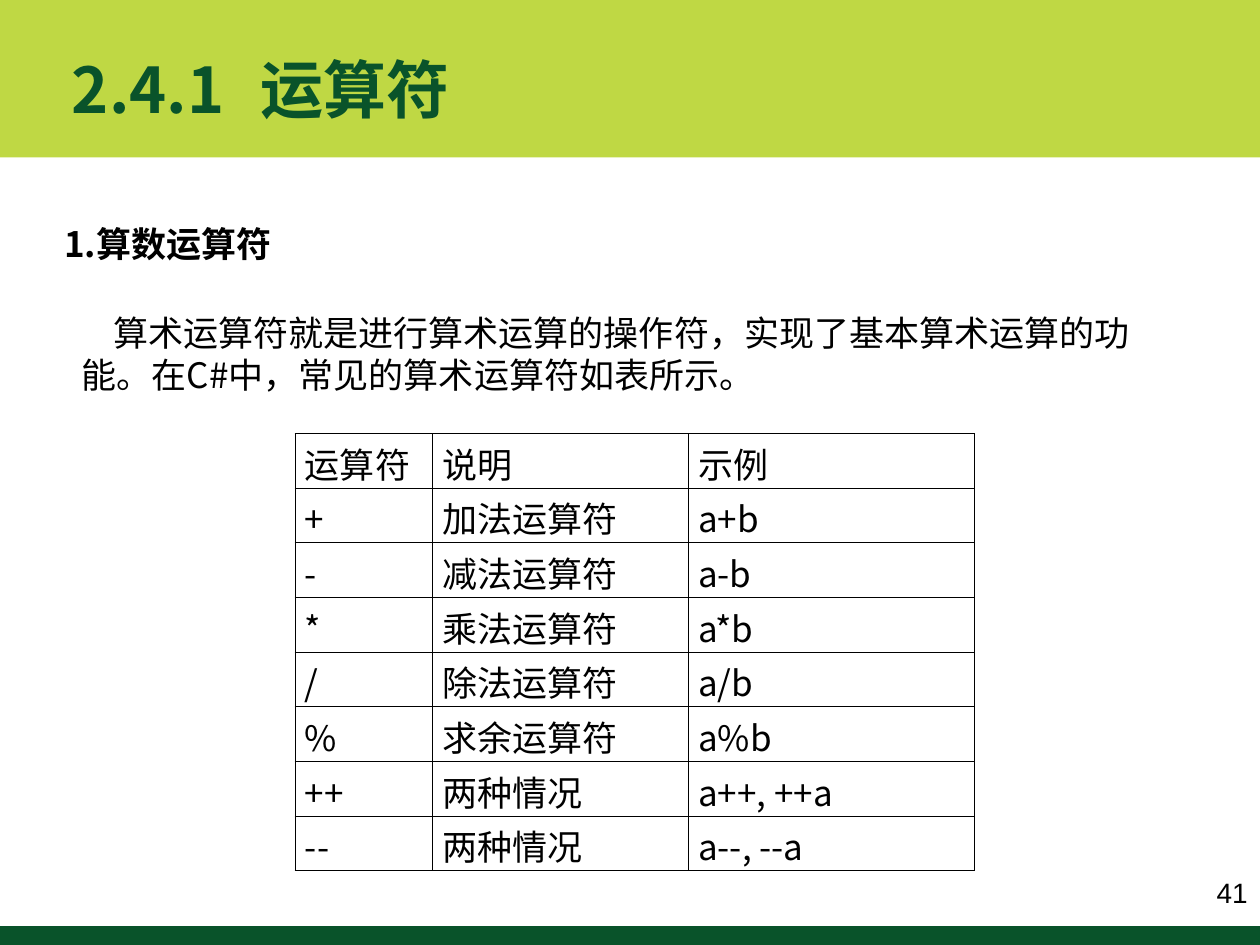
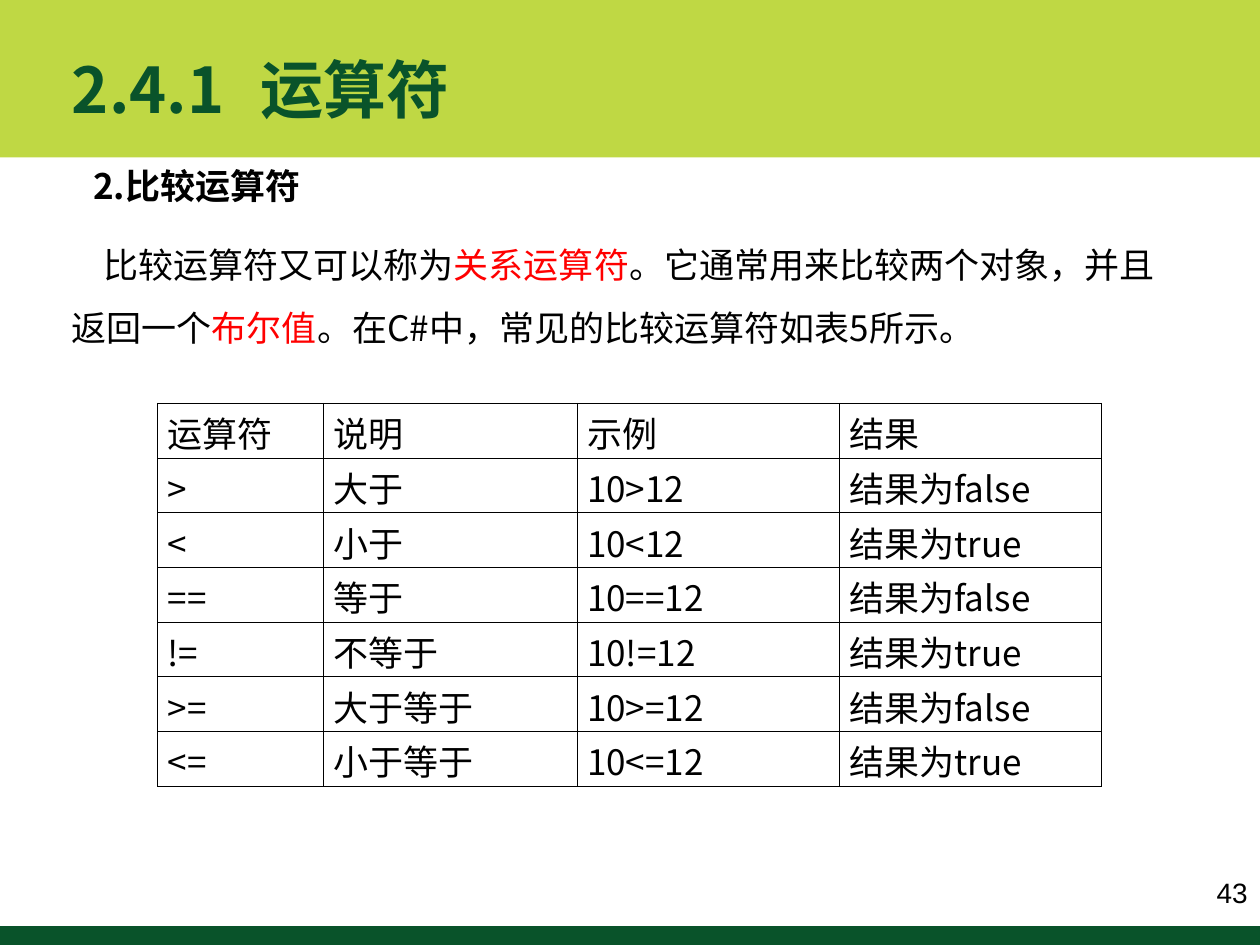
from lxml import etree
from pptx import Presentation
from pptx.dml.color import RGBColor
from pptx.enum.shapes import MSO_SHAPE
from pptx.enum.text import MSO_ANCHOR, PP_ALIGN
from pptx.oxml.ns import qn
from pptx.util import Inches, Pt

RECT = MSO_SHAPE.RECTANGLE
MIDDLE = MSO_ANCHOR.MIDDLE
LEFT, RIGHT, JUSTIFY = PP_ALIGN.LEFT, PP_ALIGN.RIGHT, PP_ALIGN.JUSTIFY
HEX = {"lime": "BFD844", "green": "09532A", "black": "000000", "red": "FF0000"}
CJK, LATIN = "Noto Sans CJK SC", "Arial"
TITLE = "2.4.1\t运算符"
ROW = 0.43

ARITH = [
    ("运算符", "说明", "示例"),
    ("+", "加法运算符", "a+b"),
    ("-", "减法运算符", "a-b"),
    ("*", "乘法运算符", "a*b"),
    ("/", "除法运算符", "a/b"),
    ("%", "求余运算符", "a%b"),
    ("++", "两种情况", "a++, ++a"),
    ("--", "两种情况", "a--, --a"),
]
COMPARE = [
    ("运算符", "说明", "示例", "结果"),
    (">", "大于", "10>12", "结果为false"),
    ("<", "小于", "10<12", "结果为true"),
    ("==", "等于", "10==12", "结果为false"),
    ("!=", "不等于", "10!=12", "结果为true"),
    (">=", "大于等于", "10>=12", "结果为false"),
    ("<=", "小于等于", "10<=12", "结果为true"),
]


def color(name):
    return RGBColor.from_string(HEX[name])


def write(frame, text, size=20, font=CJK, ink="black", bold=False,
          align=LEFT, line=None, indent=0, tab=None):
    """Fill a frame with one paragraph; text is a string or (string, ink) pairs."""
    para = frame.paragraphs[0]
    para.alignment = align
    if line:
        para.line_spacing = Pt(line)
    props = para._p.get_or_add_pPr()
    props.set("marL", "0")
    props.set("indent", str(Inches(indent)))
    if tab:
        stops = etree.SubElement(props, qn("a:tabLst"))
        etree.SubElement(stops, qn("a:tab"), pos=str(Inches(tab)), algn="l")
    for words, tint in [(text, ink)] if isinstance(text, str) else text:
        run = para.add_run()
        run.text = words
        run.font.size = Pt(size)
        run.font.name = font
        run.font.bold = bold
        run.font.color.rgb = color(tint)
        etree.SubElement(run._r.get_or_add_rPr(), qn("a:ea"), typeface=font)


def add_text(slide, box, text, **style):
    frame = slide.shapes.add_textbox(*map(Inches, box)).text_frame
    frame.word_wrap = True
    write(frame, text, **style)


def add_band(slide, box, ink):
    band = slide.shapes.add_shape(RECT, *map(Inches, box))
    band.shadow.inherit = False
    band.fill.solid()
    band.fill.fore_color.rgb = color(ink)
    band.line.fill.background()


def add_frame(slide, number):
    """Place the bands, page number and title that every slide carries."""
    add_band(slide, (0, 0, 10, 1.25), "lime")
    add_band(slide, (0, 7.35, 10, 0.15), "green")
    add_text(slide, (9.25, 6.9, 0.75, 0.37), str(number),
             size=16, font=LATIN, align=RIGHT)
    title = slide.shapes.title
    slide.shapes._spTree.append(title._element)  # in front of the band
    title.left, title.top, title.width, title.height = map(
        Inches, (0.47, 0.23, 7.42, 0.95))
    title.text_frame.vertical_anchor = MIDDLE
    write(title.text_frame, TITLE, size=36, ink="green", bold=True, tab=1.55)


def add_edges(cell):
    props = cell._tc.get_or_add_tcPr()
    for side in ("lnL", "lnR", "lnT", "lnB"):
        edge = etree.SubElement(props, qn("a:" + side), w=str(Pt(0.45)))
        fill = etree.SubElement(edge, qn("a:solidFill"))
        etree.SubElement(fill, qn("a:srgbClr"), val=HEX["black"])


def add_grid(slide, left, top, widths, rows):
    shape = slide.shapes.add_table(
        len(rows), len(widths), Inches(left), Inches(top),
        Inches(sum(widths)), Inches(ROW * len(rows)))
    grid = shape.table
    grid.first_row = grid.horz_banding = False
    for col, width in zip(grid.columns, widths):
        col.width = Inches(width)
    for r, row in enumerate(rows):
        grid.rows[r].height = Inches(ROW)
        for c, text in enumerate(row):
            cell = grid.cell(r, c)
            cell.vertical_anchor = MIDDLE
            cell.margin_left = cell.margin_right = Inches(0.08)
            cell.margin_top, cell.margin_bottom = Inches(0.1), 0
            add_edges(cell)
            cell.fill.background()
            write(cell.text_frame, text, align=JUSTIFY, line=24)


def add_topic(deck, number, head, head_box, body, body_box, line, grid):
    """Add one slide: heading, paragraph and operator table."""
    slide = deck.slides.add_slide(deck.slide_layouts[5])
    add_frame(slide, number)
    add_text(slide, head_box, head, bold=True, line=24, indent=0.25)
    add_text(slide, body_box, body, line=line, indent=0.25)
    add_grid(slide, *grid)


def main():
    deck = Presentation()
    deck.slide_width, deck.slide_height = Inches(10), Inches(7.5)
    add_topic(
        deck, 41, "1.算数运算符", (0.16, 1.72, 8.98, 0.44),
        "算术运算符就是进行算术运算的操作符，实现了基本算术运算的功能。"
        "在C#中，常见的算术运算符如表所示。",
        (0.55, 2.42, 8.67, 0.77), 24,
        (2.34, 3.44, (1.09, 2.03, 2.27), ARITH))
    add_topic(
        deck, 43, "2.比较运算符", (0.39, 1.26, 8.98, 0.44),
        [("比较运算符又可以称为", "black"), ("关系运算符", "red"),
         ("。它通常用来比较两个对象，并且返回一个", "black"),
         ("布尔值", "red"),
         ("。在C#中，常见的比较运算符如表5所示。", "black")],
        (0.47, 1.72, 8.91, 1.1), 36,
        (1.25, 3.2, (1.32, 2.01, 2.08, 2.08), COMPARE))
    deck.save("out.pptx")


if __name__ == "__main__":
    main()
